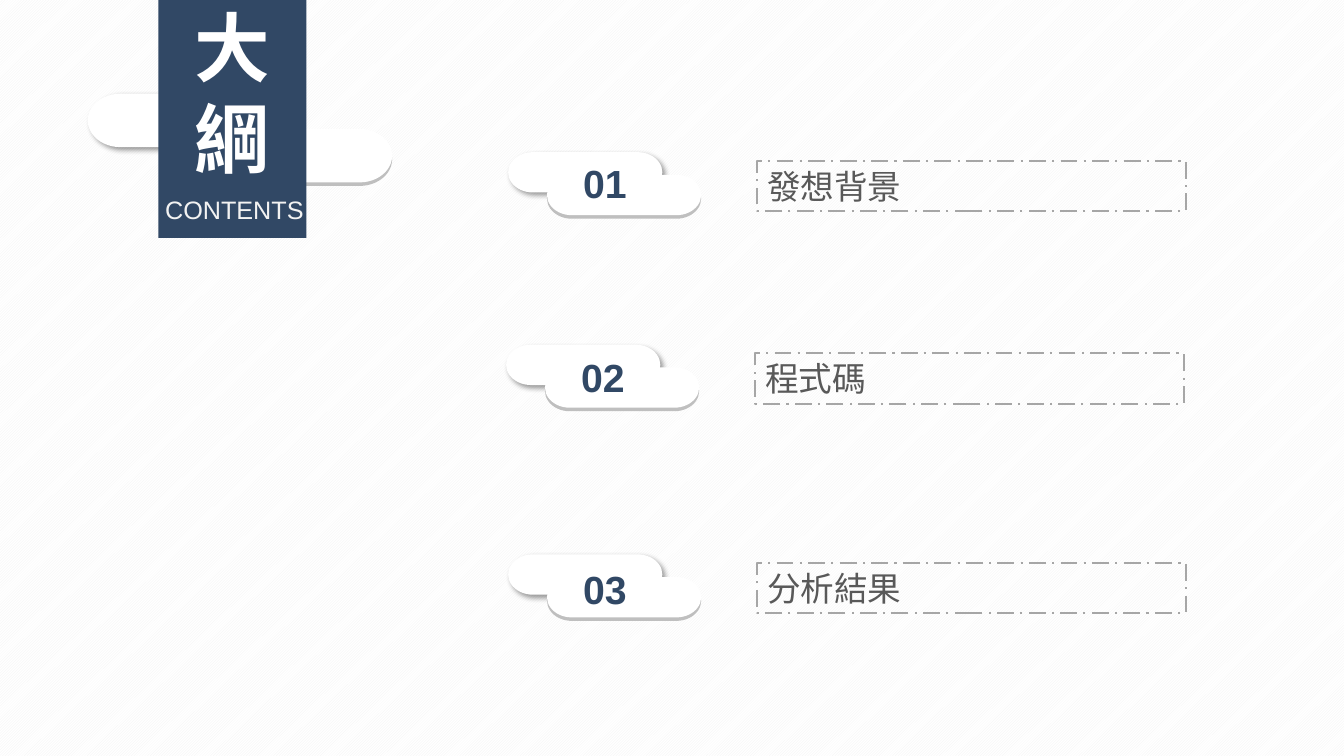
from lxml import etree
from pptx import Presentation
from pptx import util as u
from pptx.dml.color import RGBColor
from pptx.enum import dml, shapes, text
from pptx.oxml.ns import qn

NAVY, WHITE, GRAY = "314865", "FFFFFF", "BFBFBF"
ITEMS = [
    ("01", "發想背景", 5.04, 1.51, 0.02),
    ("02", "程式碼", 5.02, 3.42, 0.04),
    ("03", "分析結果", 5.04, 5.5, 0.06),
]
BADGE = dict(size=(1.53, 0.4), shift=(0.385, 0.225))
BANNER = dict(size=(2.01, 0.53), shift=(1.01, 0.35))
LIP = 0.035


def color(code):
    return RGBColor.from_string(code)


def shape(home, kind, box, fill=None):
    item = home.shapes.add_shape(kind, *map(u.Inches, box))
    item.shadow.inherit = False
    item.line.fill.background()
    if fill:
        item.fill.solid()
        item.fill.fore_color.rgb = color(fill)
    else:
        item.fill.background()
    return item


def write(item, words, size, tint, bold=False, align="CENTER", pad=(0.1, 0.05)):
    frame = item.text_frame
    frame.word_wrap = True
    frame.auto_size = text.MSO_AUTO_SIZE.SHAPE_TO_FIT_TEXT
    frame.margin_left = frame.margin_right = u.Inches(pad[0])
    frame.margin_top = frame.margin_bottom = u.Inches(pad[1])
    para = frame.paragraphs[0]
    para.alignment = text.PP_ALIGN[align]
    run = para.add_run()
    run.text = words
    run.font.name = "Arial"
    run.font.size = u.Pt(size)
    run.font.bold = bold
    run.font.color.rgb = color(tint)


def label(home, box, words, size, tint, anchor="TOP", **style):
    item = home.shapes.add_textbox(*map(u.Inches, box))
    item.text_frame.vertical_anchor = text.MSO_ANCHOR[anchor]
    write(item, words, size, tint, **style)


def shade(item):
    effects = item._element.spPr.find(qn("a:effectLst"))
    outer = etree.SubElement(effects, qn("a:outerShdw"), blurRad=str(u.Pt(4)),
                             dist=str(u.Pt(3)), dir=str(45 * 60000),
                             algn="tl", rotWithShape="0")
    tint = etree.SubElement(outer, qn("a:srgbClr"), val="000000")
    etree.SubElement(tint, qn("a:alpha"), val="40000")


def cloud(page, left, top, size, shift):
    group = page.shapes.add_group_shape()
    pill = shapes.MSO_SHAPE.FLOWCHART_TERMINATOR
    x, y = left + shift[0], top + shift[1]
    shape(group, pill, (x, y + LIP, *size), GRAY)
    shade(shape(group, pill, (left, top, *size), WHITE))
    shape(group, pill, (x, y, *size), WHITE)
    return group


deck = Presentation()
deck.slide_width, deck.slide_height = u.Inches(13.33), u.Inches(7.5)
page = deck.slides.add_slide(deck.slide_layouts[6])
back = page.background.fill
back.patterned()
back.pattern = dml.MSO_PATTERN.LIGHT_UPWARD_DIAGONAL
back.fore_color.rgb, back.back_color.rgb = color("F2F2F2"), color(WHITE)

cloud(page, 0.87, 0.93, **BANNER)
shape(page, shapes.MSO_SHAPE.RECTANGLE, (1.57, 0, 1.47, 2.36), NAVY)
label(page, (1.57, 0, 1.47, 1.82), "大綱", 54, WHITE,
      anchor="MIDDLE", bold=True, pad=(0, 0))
label(page, (1.59, 1.93, 1.47, 0.3), "CONTENTS", 18, "F2F2F2",
      anchor="MIDDLE", pad=(0, 0))

for number, title, left, top, drop in ITEMS:
    frame = shape(page, shapes.MSO_SHAPE.RECTANGLE,
                  (left + 2.47, top + 0.085, 4.25, 0.5))
    frame.line.color.rgb = color("A6A6A6")
    frame.line.width = u.Pt(1.5)
    frame.line.dash_style = dml.MSO_LINE.LONG_DASH_DOT
    write(frame, title, 24, "595959", align="JUSTIFY")
    badge = cloud(page, left, top, **BADGE)
    label(badge, (left + 0.58, top + drop, 0.76, 0.57), number, 28, NAVY, bold=True)

deck.save("out.pptx")
